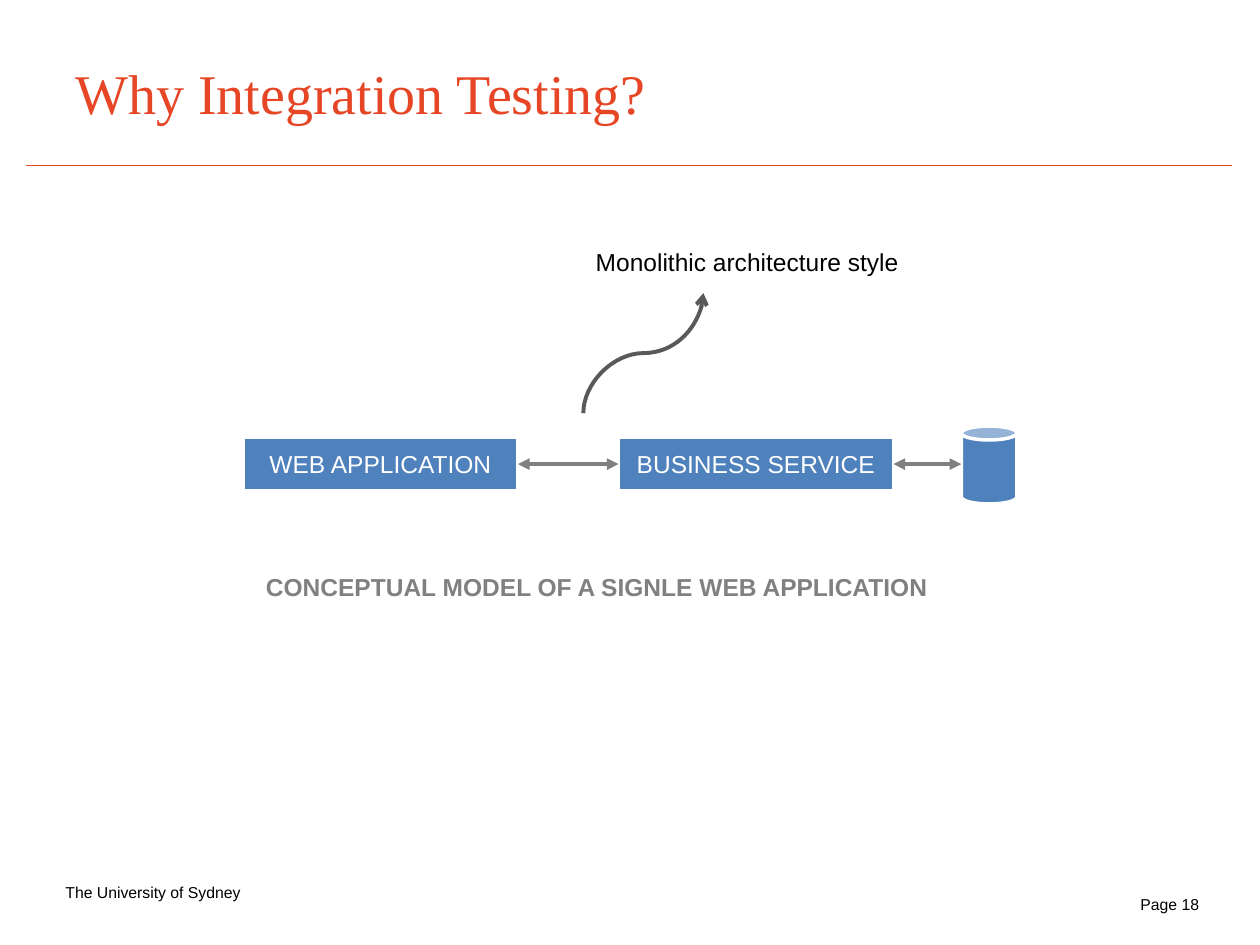
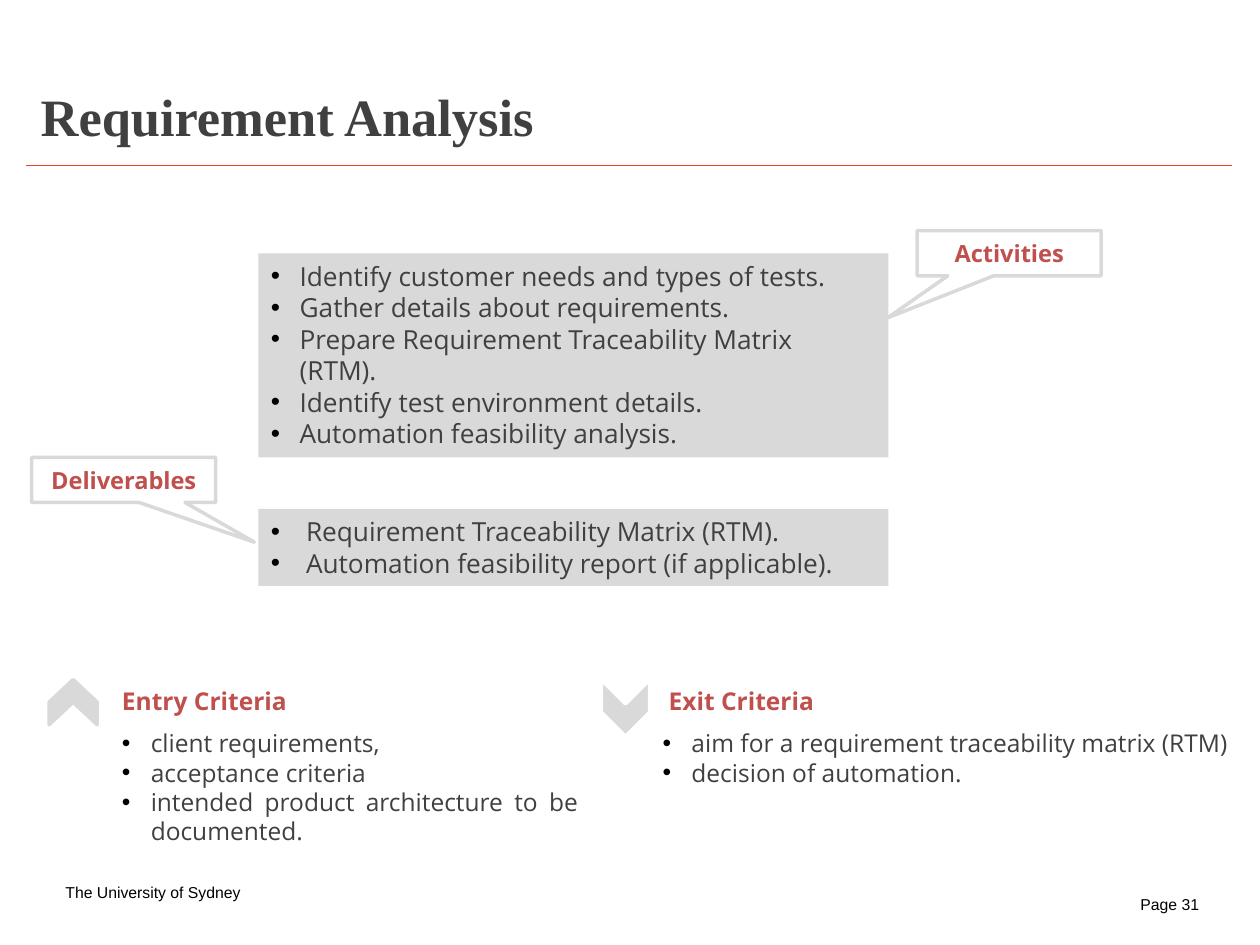
from lxml.etree import SubElement
from pptx import Presentation
from pptx.dml.color import RGBColor
from pptx.enum.shapes import MSO_CONNECTOR, MSO_SHAPE
from pptx.enum.text import MSO_ANCHOR, PP_ALIGN
from pptx.oxml.ns import qn
from pptx.util import Cm, Pt

ORANGE = RGBColor(0xE6, 0x46, 0x25)
BLUE = RGBColor(0x4F, 0x81, 0xBD)
RED = RGBColor(0xC0, 0x50, 0x4D)
WHITE = RGBColor(0xFF, 0xFF, 0xFF)
BLACK = RGBColor(0x00, 0x00, 0x00)
LIGHT = RGBColor(0xD9, 0xD9, 0xD9)
GREY = RGBColor(0x80, 0x80, 0x80)
SLATE = RGBColor(0x59, 0x59, 0x59)
DARK = RGBColor(0x40, 0x40, 0x40)

SANS, SERIF, OPEN = "Arial", "Times New Roman", "Open Sans"
UNIVERSITY = "The University of Sydney"

# Places are left, top, width, height in centimetres.
TIERS = ["WEB APPLICATION", "BUSINESS SERVICE"]
TIER_LEFT, TIER_TOP, TIER_WIDTH, TIER_HEIGHT, TIER_GAP = 4.9, 8.81, 5.54, 1.09, 2.03
DATABASE = (19.38, 8.59, 1.12, 1.57)

PANELS = [
    ((5.21, 5.11, 12.7, 4.11), 0.58, PP_ALIGN.LEFT, [
        "Identify customer needs and types of tests.",
        "Gather details about requirements.",
        "Prepare Requirement Traceability Matrix (RTM).",
        "Identify test environment details.",
        "Automation feasibility analysis."]),
    ((5.21, 10.26, 12.7, 1.55), 0.71, PP_ALIGN.JUSTIFY, [
        "Requirement Traceability Matrix (RTM).",
        "Automation feasibility report (if applicable)."]),
]
CALLOUTS = [
    ("Deliverables", 0.64, 9.22, (0.71, 1.38)),
    ("Activities", 18.49, 4.65, (-0.66, 1.43)),
]
CRITERIA = [
    ("Entry Criteria", 2.21, (2.21, 9.7), PP_ALIGN.JUSTIFY, [
        "client requirements,",
        "acceptance criteria",
        "intended product architecture to be documented."]),
    ("Exit Criteria", 13.23, (13.11, 11.99), PP_ALIGN.LEFT, [
        "aim for a requirement traceability matrix (RTM)",
        "decision of automation."]),
]
CHEVRONS = [
    ((1.02, 13.67, 0.91, 0.97), 270, LIGHT),
    ((12.04, 13.79, 1.14, 0.97), 90, WHITE),
]


def add_bullet(para, indent):
    properties = para._p.get_or_add_pPr()
    properties.set("marL", str(Cm(indent)))
    properties.set("indent", str(-Cm(indent)))
    colour = SubElement(properties, qn("a:buClr"))
    SubElement(colour, qn("a:srgbClr"), val=str(BLACK))
    SubElement(properties, qn("a:buFont"), typeface=SANS)
    SubElement(properties, qn("a:buChar"), char="•")


def write(box, lines, size=14, font=SANS, color=BLACK, bold=False, align=PP_ALIGN.LEFT,
          anchor=MSO_ANCHOR.TOP, insets=(0.25, 0.13), indent=None, spacing=None):
    frame = box.text_frame
    frame.word_wrap = True
    frame.vertical_anchor = anchor
    frame.margin_left = frame.margin_right = Cm(insets[0])
    frame.margin_top = frame.margin_bottom = Cm(insets[1])
    for number, line in enumerate(lines):
        para = frame.add_paragraph() if number else frame.paragraphs[0]
        para.alignment = align
        if spacing:
            para.line_spacing = spacing
        if indent:
            add_bullet(para, indent)
        span = para.add_run()
        span.text = line
        span.font.size = Pt(size)
        span.font.name = font
        span.font.bold = bold
        span.font.color.rgb = color


def add_text(page, place, *lines, **style):
    box = page.shapes.add_textbox(*map(Cm, place))
    write(box, lines, **style)


def add_figure(page, kind, place, fill, line=None):
    figure = page.shapes.add_shape(kind, *map(Cm, place))
    figure.shadow.inherit = False
    figure.fill.solid()
    figure.fill.fore_color.rgb = fill
    if line is None:
        figure.line.fill.background()
    else:
        figure.line.color.rgb = line
        figure.line.width = Pt(2)
    return figure


def add_line(page, ends, color, width=2.25, kind=MSO_CONNECTOR.STRAIGHT, head=None, tail=None):
    connector = page.shapes.add_connector(kind, *map(Cm, ends))
    connector.line.color.rgb = color
    connector.line.width = Pt(width)
    outline = connector.line._get_or_add_ln()
    for tag, arrow in (("a:headEnd", head), ("a:tailEnd", tail)):
        if arrow:
            SubElement(outline, qn(tag), type=arrow)
    SubElement(connector._element.spPr, qn("a:effectLst"))
    return connector


def add_page(deck, number):
    """Add a blank page with the rule and the footers."""
    page = deck.slides.add_slide(deck.slide_layouts[6])
    add_line(page, (0.53, 3.33, 24.84, 3.33), ORANGE, 0.75)
    footer = dict(size=9, insets=(0, 0), spacing=1.17)
    add_text(page, (1.32, 17.73, 4.19, 0.43), UNIVERSITY, **footer)
    add_text(page, (22.99, 17.98, 1.4, 0.41), f"Page {number}", **footer)
    return page


def build_integration(deck):
    page = add_page(deck, 18)
    add_text(page, (1.52, 1.14, 16.31, 1.42), "Why Integration Testing?",
             size=32, font=SERIF, color=ORANGE, insets=(0, 0.05))
    tiers = []
    for number, name in enumerate(TIERS):
        left = TIER_LEFT + number * (TIER_WIDTH + TIER_GAP)
        tier = add_figure(page, MSO_SHAPE.RECTANGLE,
                          (left, TIER_TOP, TIER_WIDTH, TIER_HEIGHT), BLUE, WHITE)
        write(tier, [name], color=WHITE, align=PP_ALIGN.CENTER, anchor=MSO_ANCHOR.MIDDLE)
        tiers.append(tier)
    web, service = tiers
    add_figure(page, MSO_SHAPE.CAN, DATABASE, BLUE, WHITE)

    middle = TIER_TOP + TIER_HEIGHT / 2
    service_right = left + TIER_WIDTH
    both = dict(head="triangle", tail="triangle")
    to_database = add_line(page, (service_right, middle, DATABASE[0], middle), GREY, **both)
    to_database.begin_connect(service, 3)
    to_service = add_line(page, (left - TIER_GAP, middle, left, middle), GREY, **both)
    to_service.begin_connect(web, 3)
    to_service.end_connect(service, 1)

    caption = add_figure(page, MSO_SHAPE.RECTANGLE, (5.11, 11.4, 14.71, 0.86), WHITE)
    write(caption, ["CONCEPTUAL MODEL OF A SIGNLE WEB APPLICATION"], color=GREY, bold=True)
    curve = add_line(page, (14.18, 8.33, 11.76, 5.91), SLATE,
                     kind=MSO_CONNECTOR.CURVE, tail="arrow")
    curve._element.spPr.find(qn("a:xfrm")).set("rot", str(90 * 60000))
    add_text(page, (11.76, 4.85, 7.62, 0.86), "Monolithic architecture style")


def build_requirements(deck):
    page = add_page(deck, 31)
    add_text(page, (0.64, 1.6, 12.12, 1.6), "Requirement Analysis",
             size=30, font=SERIF, color=DARK, bold=True, insets=(0.18, 0.1))
    for place, indent, align, lines in PANELS:
        panel = add_figure(page, MSO_SHAPE.RECTANGLE, place, LIGHT)
        write(panel, lines, size=15, font=OPEN, color=DARK, align=align, indent=indent)
    for name, left, top, tip in CALLOUTS:
        callout = add_figure(page, MSO_SHAPE.RECTANGULAR_CALLOUT,
                             (left, top, 3.71, 0.91), WHITE, LIGHT)
        callout.adjustments[0], callout.adjustments[1] = tip
        write(callout, [name], size=13.5, font=OPEN, color=RED, bold=True,
              align=PP_ALIGN.CENTER, anchor=MSO_ANCHOR.MIDDLE)
    for heading, heading_left, (left, width), align, lines in CRITERIA:
        add_text(page, (heading_left, 13.69, 4.2, 0.86), heading,
                 font=OPEN, color=RED, bold=True)
        add_text(page, (left, 14.55, width, 2.64), *lines,
                 font=OPEN, color=DARK, align=align, indent=0.58)
    for place, turn, line in CHEVRONS:
        chevron = add_figure(page, MSO_SHAPE.CHEVRON, place, LIGHT, line)
        chevron.rotation = turn


def main():
    deck = Presentation()
    deck.slide_width, deck.slide_height = Cm(25.4), Cm(19.05)
    build_integration(deck)
    build_requirements(deck)
    deck.save("out.pptx")


if __name__ == "__main__":
    main()
